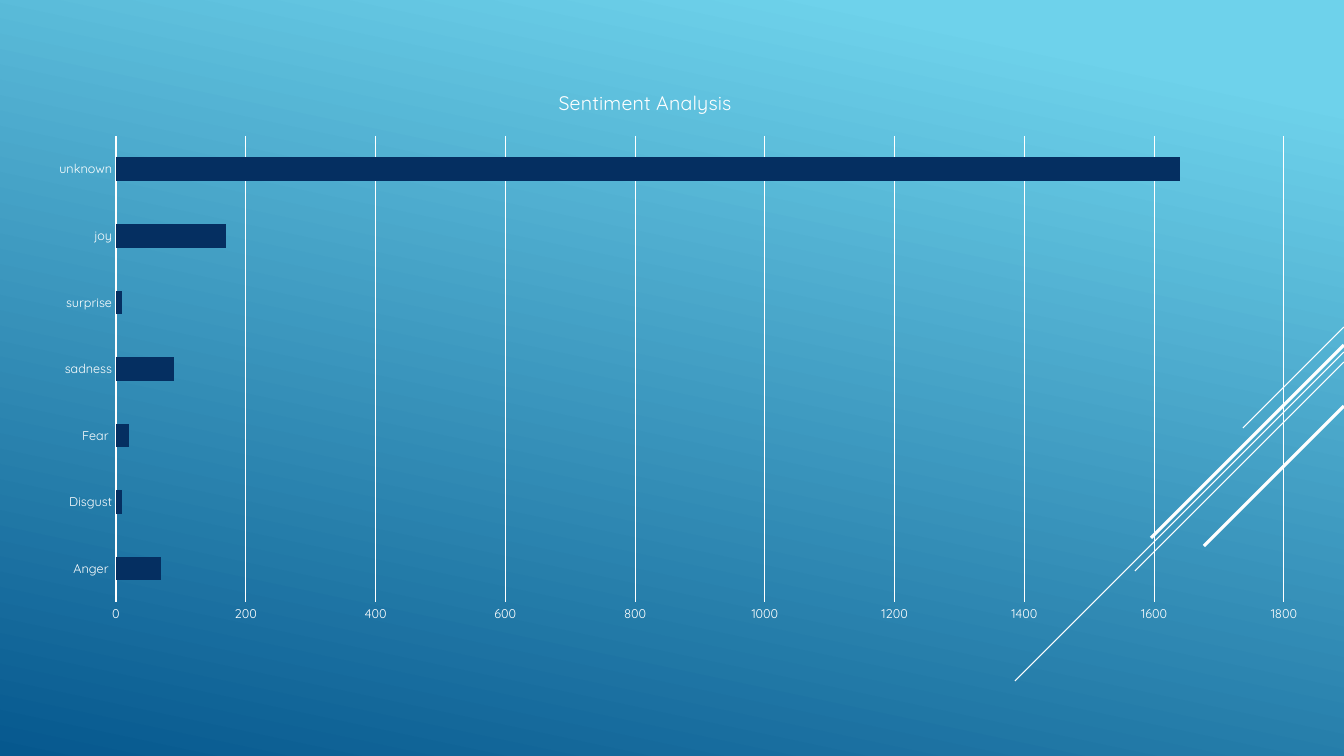
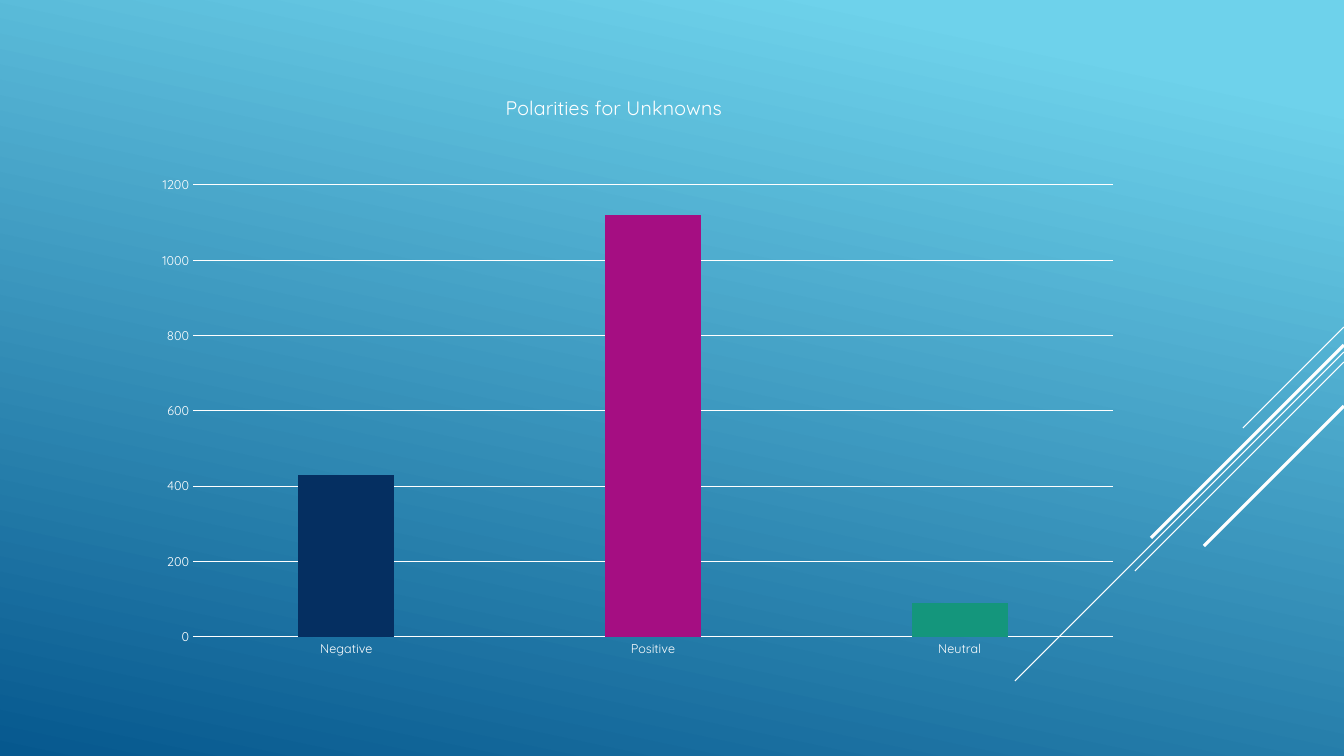
from lxml import etree
from pptx import Presentation
from pptx.chart.data import CategoryChartData
from pptx.dml.color import RGBColor
from pptx.enum.chart import XL_CHART_TYPE, XL_TICK_MARK
from pptx.enum.shapes import MSO_CONNECTOR
from pptx.oxml import parse_xml
from pptx.oxml.ns import nsdecls, qn
from pptx.util import Emu, Pt

BAR = XL_CHART_TYPE.BAR_CLUSTERED
COLUMN = XL_CHART_TYPE.COLUMN_CLUSTERED
NO_TICK = XL_TICK_MARK.NONE
STRAIGHT = MSO_CONNECTOR.STRAIGHT

WIDTH, HEIGHT = 1344, 756
EMU_PER_PX = 914400 / 100.8
FONT = "Quicksand"
COLORS = {
    "sky": "6ED2EB",
    "deep": "06588E",
    "white": "FFFFFF",
    "navy": "052F61",
    "magenta": "A50E82",
    "green": "14967C",
}
# Diagonals from the right edge: start height, run to the left, line width
DIAGONALS = [
    (327, 101, 0.75),
    (352, 329, 0.75),
    (362, 209, 0.75),
    (345, 193, 2.25),
    (406, 140, 2.25),
]


def px(length):
    return Emu(round(length * EMU_PER_PX))


def rgb(name):
    return RGBColor.from_string(COLORS[name])


class Deck:
    def __init__(self):
        self.prs = Presentation()
        self.prs.slide_width, self.prs.slide_height = px(WIDTH), px(HEIGHT)
        self.slide = None

    # Shared backdrop
    def new_slide(self):
        self.slide = self.prs.slides.add_slide(self.prs.slide_layouts[6])
        fill = self.slide.background.fill
        fill.gradient()
        fill.gradient_angle = 360 - 102
        for stop, position, color in zip(fill.gradient_stops, (0.1, 1), ("sky", "deep")):
            stop.position = position
            stop.color.rgb = rgb(color)
        for top, run, weight in DIAGONALS:
            self.line(WIDTH, top, WIDTH - run, top + run, weight)

    def line(self, x1, y1, x2, y2, weight):
        line = self.slide.shapes.add_connector(STRAIGHT, px(x1), px(y1), px(x2), px(y2))
        self.stroke(line.line, weight)
        etree.SubElement(line._element.spPr, qn("a:effectLst"))

    def stroke(self, line, weight=0.75):
        line.color.rgb = rgb("white")
        line.width = Pt(weight)

    def style_font(self, font, size):
        font.name, font.size, font.bold = FONT, Pt(size), False
        font.color.rgb = rgb("white")

    # Fixed place of a chart part, as fractions of the chart box
    def place(self, part, index, box, left, top, size=None):
        x, y, width, height = box
        values = [("xMode", "edge"), ("yMode", "edge"),
                  ("x", (left - x) / width), ("y", (top - y) / height)]
        if size:
            values.insert(0, ("layoutTarget", "inner"))
            values += [("w", size[0] / width), ("h", size[1] / height)]
        for old in part.findall(qn("c:layout")):
            part.remove(old)
        settings = "".join(f'<c:{tag} val="{value}"/>' for tag, value in values)
        part.insert(index, parse_xml(
            f'<c:layout {nsdecls("c")}><c:manualLayout>{settings}</c:manualLayout></c:layout>'))

    def chart(self, kind, box, plot_box, title, title_at, values, colors, gap, overlap, top_value):
        data = CategoryChartData()
        data.categories = list(values)
        data.add_series("Series 1", list(values.values()))
        chart = self.slide.shapes.add_chart(kind, *map(px, box), data).chart
        chart.has_legend = False
        self.style_font(chart.font, 10)

        # Title
        chart.has_title = True
        heading = chart.chart_title
        heading.text_frame.text = title
        self.style_font(heading.text_frame.paragraphs[0].font, 14)
        self.place(heading._element, 1, box, *title_at)

        # Axes
        categories, amounts = chart.category_axis, chart.value_axis
        for axis in (categories, amounts):
            axis.major_tick_mark = axis.minor_tick_mark = NO_TICK
            self.style_font(axis.tick_labels.font, 9)
        categories.has_major_gridlines = False
        self.stroke(categories.format.line)
        amounts.format.line.fill.background()
        amounts.minimum_scale, amounts.maximum_scale, amounts.major_unit = 0, top_value, 200
        amounts.has_major_gridlines = True
        self.stroke(amounts.major_gridlines.format.line)

        # Bars
        plot = chart.plots[0]
        plot.vary_by_categories = False
        plot.gap_width, plot.overlap = gap, overlap
        bars = plot.series[0]
        bars.format.fill.solid()
        bars.format.fill.fore_color.rgb = rgb(colors[0])
        for i, color in enumerate(colors[1:], 1):
            fill = bars.points[i].format.fill
            fill.solid()
            fill.fore_color.rgb = rgb(color)
        self.place(chart._chartSpace.chart.plotArea, 0, box, *plot_box[:2], plot_box[2:])


deck = Deck()

# Slide 1: sentiments
deck.new_slide()
sentiments = {"Anger ": 70, "Disgust": 10, "Fear ": 20, "sadness": 90,
              "surprise": 10, "joy": 170, "unknown": 1640}
deck.chart(BAR, (33, 71, 1290, 562), (116, 136, 1168, 466), "Sentiment Analysis", (555, 85),
           sentiments, ["navy"], gap=182, overlap=0, top_value=1800)

# Slide 2: polarities
deck.new_slide()
polarities = {"Negative": 430, "Positive": 1120, "Neutral": 90}
deck.chart(COLUMN, (87, 66, 1047, 628), (193, 185, 920, 452), "Polarities for Unknowns", (502, 90),
           polarities, ["navy", "magenta", "green"], gap=219, overlap=-27, top_value=1200)

deck.prs.save("out.pptx")
